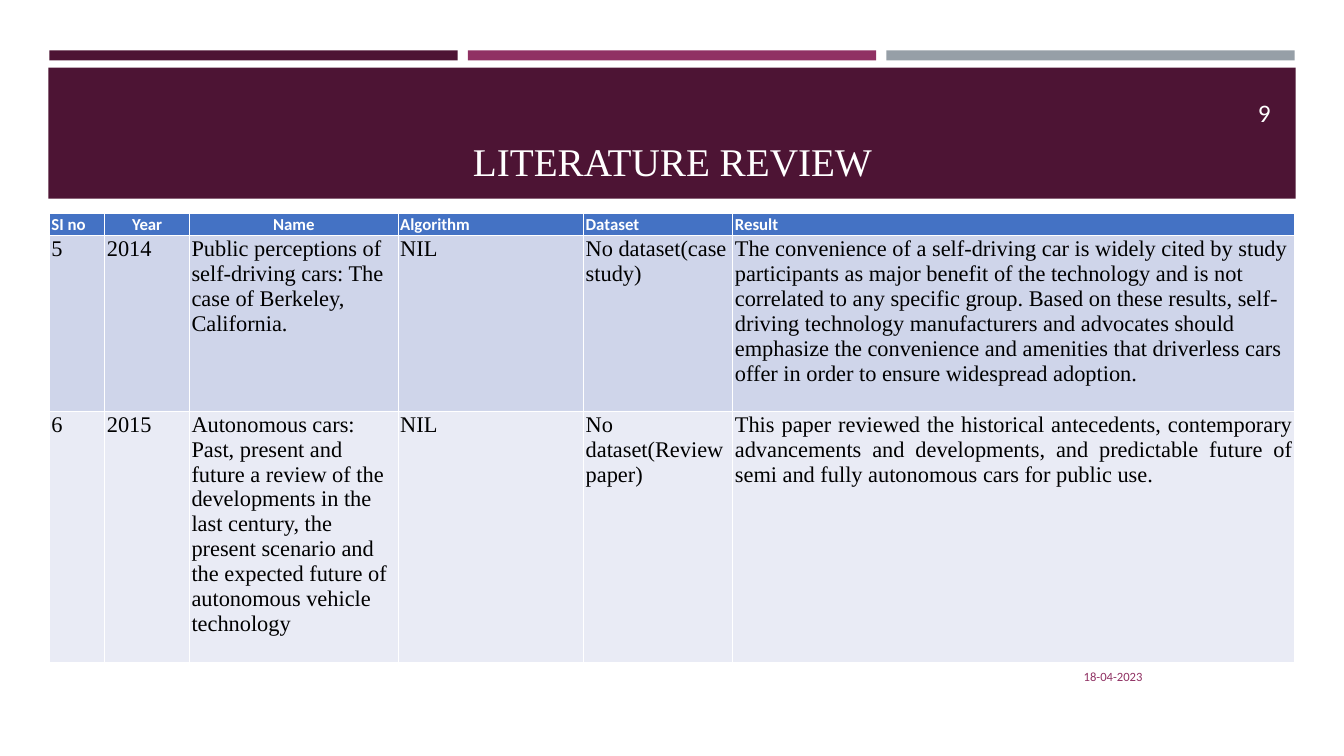
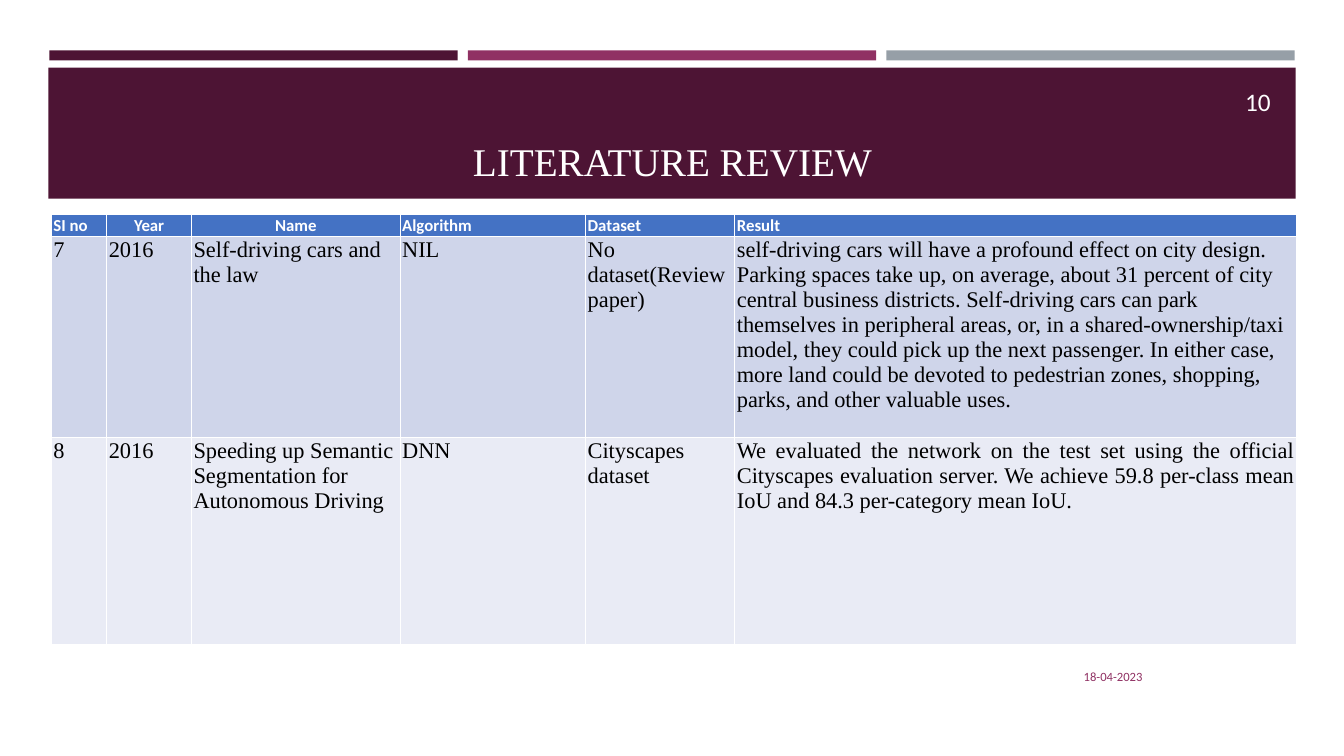
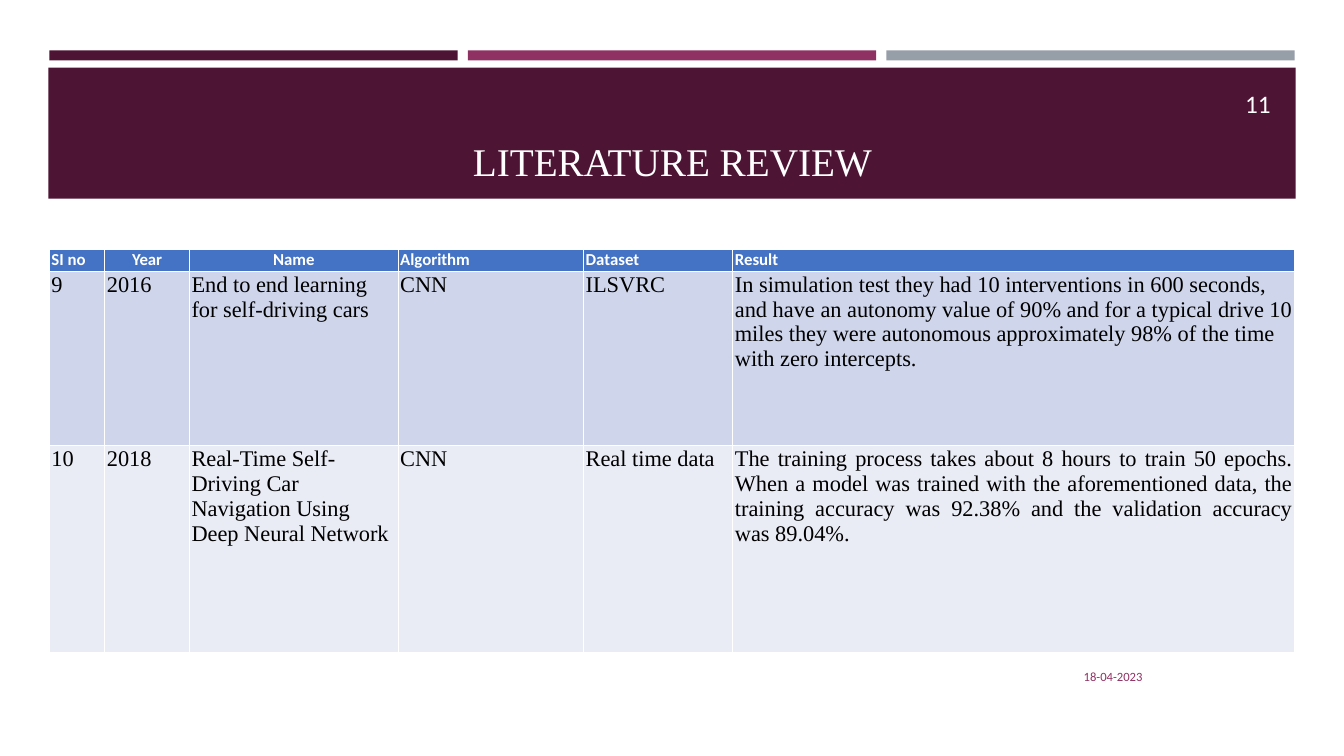
"""Build three literature review slides with a shared banner and paper tables."""

from dataclasses import dataclass

from lxml import etree
from pptx import Presentation
from pptx.dml.color import RGBColor
from pptx.enum.shapes import MSO_SHAPE
from pptx.enum.text import MSO_ANCHOR, PP_ALIGN
from pptx.oxml.ns import qn
from pptx.util import Inches, Pt

RECTANGLE = MSO_SHAPE.RECTANGLE
TOP, MIDDLE, BOTTOM = MSO_ANCHOR.TOP, MSO_ANCHOR.MIDDLE, MSO_ANCHOR.BOTTOM
LEFT, CENTER, RIGHT, JUSTIFY = PP_ALIGN.LEFT, PP_ALIGN.CENTER, PP_ALIGN.RIGHT, PP_ALIGN.JUSTIFY

PLUM, MAGENTA, GREY = "4D1434", "903163", "969FA7"
WHITE, BLACK = "FFFFFF", "000000"
HEADER_FILL, BAND_FILLS = "4472C4", ("CFD5EA", "E9EBF5")

BAR_LEFT, BAR_WIDTH, BAR_GAP = 0.49, 4.05, 0.1
COLUMN_WIDTHS = (0.55, 0.84, 2.07, 1.84, 1.48, 5.57)
HEADERS = ("SI no", "Year", "Name", "Algorithm", "Dataset", "Result")
HEADER_ALIGNMENTS = (LEFT, CENTER, CENTER, LEFT, LEFT, LEFT)
RESULT_ALIGNMENTS = (LEFT, JUSTIFY)
HEADER_HEIGHT = 0.22
BORDER_TAGS = ("a:lnL", "a:lnR", "a:lnT", "a:lnB")


@dataclass(frozen=True)
class TextStyle:
    """Font, size, colour and weight of a piece of text."""

    font: str
    size: int
    color: str
    bold: bool = False


@dataclass(frozen=True)
class Paper:
    """One reviewed paper, in table column order."""

    number: str
    year: str
    name: str
    algorithm: str
    dataset: str
    result: str

    def values(self) -> tuple:
        """Return the cell texts of the paper."""
        return (self.number, self.year, self.name, self.algorithm, self.dataset, self.result)


@dataclass(frozen=True)
class ReviewSlide:
    """Contents and placement of one review slide."""

    page: str
    page_top: float
    table_left: float
    table_top: float
    row_heights: tuple
    papers: tuple


TITLE_STYLE = TextStyle("Times New Roman", 28, WHITE)
PAGE_STYLE = TextStyle("Calibri", 18, WHITE)
DATE_STYLE = TextStyle("Calibri", 9, MAGENTA)
HEADER_STYLE = TextStyle("Calibri", 12, WHITE, True)
BODY_STYLE = TextStyle("Times New Roman", 16, BLACK)

REVIEWS = (
    ReviewSlide("9", 0.92, 0.49, 2.12, (1.74, 2.49), (
        Paper("5", "2014",
              "Public perceptions of self-driving cars: The case of Berkeley, California.",
              "NIL", "No dataset(case study)",
              "The convenience of a self-driving car is widely cited by study participants as "
              "major benefit of the technology and is not correlated to any specific group. "
              "Based on these results, self-driving technology manufacturers and advocates "
              "should emphasize the convenience and amenities that driverless cars offer in "
              "order to ensure widespread adoption."),
        Paper("6", "2015",
              "Autonomous cars: Past, present and future a review of the developments in the "
              "last century, the present scenario and the expected future of "
              "autonomous vehicle technology",
              "NIL", "No dataset(Review paper)",
              "This paper reviewed the historical antecedents, contemporary advancements and "
              "developments, and predictable future of semi and fully autonomous cars for "
              "public use."),
    )),
    ReviewSlide("10", 0.81, 0.51, 2.13, (1.99, 2.05), (
        Paper("7", "2016", "Self-driving cars and the law", "NIL", "No dataset(Review paper)",
              "self-driving cars will have a profound effect on city design. Parking spaces "
              "take up, on average, about 31 percent of city central business districts. "
              "Self-driving cars can park themselves in peripheral areas, or, in a "
              "shared-ownership/taxi model, they could pick up the next passenger. In either "
              "case, more land could be devoted to pedestrian zones, shopping, parks, and "
              "other valuable uses."),
        Paper("8", "2016", "Speeding up Semantic Segmentation for Autonomous Driving",
              "DNN", "Cityscapes dataset",
              "We evaluated the network on the test set using the official Cityscapes "
              "evaluation server. We achieve 59.8 per-class mean IoU and 84.3 per-category "
              "mean IoU."),
    )),
    ReviewSlide("11", 0.83, 0.49, 2.47, (1.73, 2.05), (
        Paper("9", "2016", "End to end learning for self-driving cars", "CNN", "ILSVRC",
              "In simulation test they had 10 interventions in 600 seconds, and have an "
              "autonomy value of 90% and for a typical drive 10 miles they were autonomous "
              "approximately 98% of the time with zero intercepts."),
        Paper("10", "2018", "Real-Time Self-Driving Car Navigation Using Deep Neural Network",
              "CNN", "Real time data",
              "The training process takes about 8 hours to train 50 epochs. When a model was "
              "trained with the aforementioned data, the training accuracy was 92.38% and the "
              "validation accuracy was 89.04%."),
    )),
)


def set_fill(fill, color: str) -> None:
    """Make a fill solid in a hex colour."""
    fill.solid()
    fill.fore_color.rgb = RGBColor.from_string(color)


def write_text(text_frame, text: str, style: TextStyle, alignment) -> None:
    """Write one aligned paragraph in a text style."""
    text_frame.text = text
    paragraph = text_frame.paragraphs[0]
    paragraph.alignment = alignment
    font = paragraph.runs[0].font
    font.name, font.size, font.bold = style.font, Pt(style.size), style.bold
    font.color.rgb = RGBColor.from_string(style.color)


def add_bar(slide, left: float, top: float, width: float, height: float, color: str) -> None:
    """Draw a plain filled rectangle."""
    shape = slide.shapes.add_shape(
        RECTANGLE, Inches(left), Inches(top), Inches(width), Inches(height))
    shape.shadow.inherit = False
    set_fill(shape.fill, color)
    shape.line.fill.background()


def add_label(slide, left: float, top: float, width: float, height: float,
              text: str, style: TextStyle, alignment, anchor) -> None:
    """Add a wrapped text box."""
    box = slide.shapes.add_textbox(Inches(left), Inches(top), Inches(width), Inches(height))
    box.text_frame.word_wrap = True
    box.text_frame.vertical_anchor = anchor
    write_text(box.text_frame, text, style, alignment)


def add_frame(slide, review: ReviewSlide) -> None:
    """Draw the bars, banner, title, page number and date."""
    for index, color in enumerate((PLUM, MAGENTA, GREY)):
        add_bar(slide, BAR_LEFT + index * (BAR_WIDTH + BAR_GAP), 0.5, BAR_WIDTH, 0.1, color)
    add_bar(slide, 0.48, 0.67, 12.37, 1.3, PLUM)
    add_label(slide, 0.64, 0.77, 12.06, 1.11, "LITERATURE REVIEW", TITLE_STYLE, CENTER, BOTTOM)
    add_label(slide, 11.55, review.page_top, 1.15, 0.4, review.page, PAGE_STYLE, RIGHT, MIDDLE)
    add_label(slide, 8.32, 6.51, 3.11, 0.4, "18-04-2023", DATE_STYLE, RIGHT, MIDDLE)


def set_borders(cell, color: str) -> None:
    """Give a cell thin solid borders on all four sides."""
    properties = cell._tc.get_or_add_tcPr()
    for index, tag in enumerate(BORDER_TAGS):
        line = etree.Element(qn(tag), w=str(Pt(0.75)))
        fill = etree.SubElement(line, qn("a:solidFill"))
        etree.SubElement(fill, qn("a:srgbClr"), val=color)
        properties.insert(index, line)


def fill_cell(cell, text: str, style: TextStyle, alignment, color: str) -> None:
    """Set the text, margins, fill and borders of a cell."""
    cell.margin_left = cell.margin_right = Inches(0.02)
    cell.margin_top = cell.margin_bottom = Inches(0.01)
    cell.vertical_anchor = TOP
    write_text(cell.text_frame, text, style, alignment)
    set_fill(cell.fill, color)
    set_borders(cell, WHITE)


def add_paper_table(slide, review: ReviewSlide) -> None:
    """Add the table of reviewed papers."""
    heights = (HEADER_HEIGHT, *review.row_heights)
    table = slide.shapes.add_table(
        len(heights), len(HEADERS), Inches(review.table_left), Inches(review.table_top),
        Inches(sum(COLUMN_WIDTHS)), Inches(sum(heights))).table
    for column, width in zip(table.columns, COLUMN_WIDTHS):
        column.width = Inches(width)
    for row, height in zip(table.rows, heights):
        row.height = Inches(height)
    for cell, text, alignment in zip(table.rows[0].cells, HEADERS, HEADER_ALIGNMENTS):
        fill_cell(cell, text, HEADER_STYLE, alignment, HEADER_FILL)
    for index, paper in enumerate(review.papers):
        alignments = (LEFT,) * (len(HEADERS) - 1) + (RESULT_ALIGNMENTS[index],)
        cells = table.rows[index + 1].cells
        for cell, text, alignment in zip(cells, paper.values(), alignments):
            fill_cell(cell, text, BODY_STYLE, alignment, BAND_FILLS[index])


def main() -> None:
    """Build and save the presentation."""
    presentation = Presentation()
    presentation.slide_width, presentation.slide_height = Inches(13.33), Inches(7.5)
    for review in REVIEWS:
        slide = presentation.slides.add_slide(presentation.slide_layouts[6])
        add_frame(slide, review)
        add_paper_table(slide, review)
    presentation.save("out.pptx")


if __name__ == "__main__":
    main()
